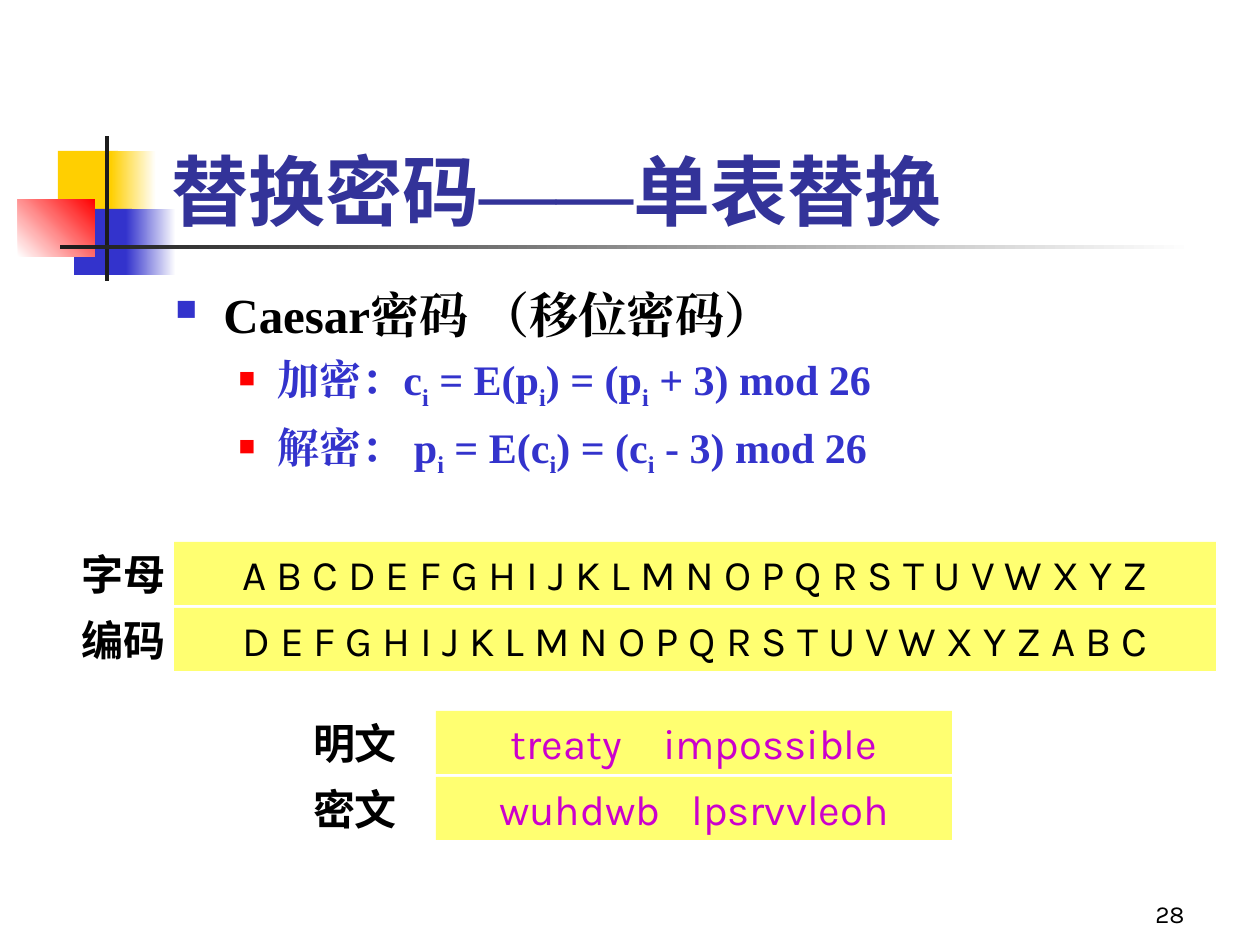
from lxml import etree
from pptx import Presentation
from pptx.dml.color import RGBColor
from pptx.enum.shapes import MSO_SHAPE
from pptx.enum.text import MSO_ANCHOR, PP_ALIGN
from pptx.oxml.ns import qn
from pptx.util import Pt

PX = 914400 / 126
RECTANGLE = MSO_SHAPE.RECTANGLE
TOP, BOTTOM = MSO_ANCHOR.TOP, MSO_ANCHOR.BOTTOM
LEFT, CENTER, RIGHT = PP_ALIGN.LEFT, PP_ALIGN.CENTER, PP_ALIGN.RIGHT
SANS, SERIF = "Karla", "Times New Roman"
COLORS = {
    "white": "FFFFFF", "black": "000000", "ink": "1C1C1C", "gold": "FFCF01",
    "blue": "3333CC", "navy": "333399", "red": "FF0000", "yellow": "FFFF71",
    "magenta": "CC00CC",
}
RGB = {name: RGBColor.from_string(value) for name, value in COLORS.items()}


def add_block(box, fill, fade_to=None, angle=0):
    block = slide.shapes.add_shape(RECTANGLE, *[round(v * PX) for v in box])
    block.shadow.inherit = False
    block.line.fill.background()
    if fade_to:
        block.fill.gradient()
        block.fill.gradient_angle = angle
        for stop, color in zip(block.fill.gradient_stops, (fill, fade_to)):
            stop.color.rgb = RGB[color]
    else:
        block.fill.solid()
        block.fill.fore_color.rgb = RGB[fill]
    return block


def write(shape, lines, size, color, bold=False, align=LEFT, anchor=TOP):
    frame = shape.text_frame
    frame.word_wrap = True
    frame.vertical_anchor = anchor
    for index, pieces in enumerate(lines):
        paragraph = frame.add_paragraph() if index else frame.paragraphs[0]
        paragraph.alignment = align
        for text, font in pieces:
            run = paragraph.add_run()
            run.text = text
            run.font.name = font
            run.font.size = Pt(size)
            run.font.bold = bold
            run.font.color.rgb = RGB[color]
            etree.SubElement(run.font._element, qn("a:ea"), typeface=font)
    return frame


prs = Presentation()
prs.slide_width, prs.slide_height = round(1260 * PX), round(945 * PX)
slide = prs.slides.add_slide(prs.slide_layouts[6])

for box, fill, fade_to, angle in [
    ((58, 151, 60, 66), "gold", None, 0),
    ((111, 151, 45, 66), "gold", "white", 0),
    ((74, 209, 58, 66), "blue", None, 0),
    ((126, 209, 50, 66), "blue", "white", 0),
    ((18, 199, 77, 58), "white", "red", 45),
    ((105, 136, 4, 145), "ink", None, 0),
    ((60, 245, 1134, 4), "ink", "white", 0),
]:
    add_block(box, fill, fade_to, angle)

page_number, title, body = [
    slide.shapes.add_textbox(*[round(v * PX) for v in box])
    for box in [(935, 872, 262, 63), (159, 84, 1074, 158), (163, 278, 914, 255)]
]
write(page_number, [[("28", SANS)]], 14, "black", align=RIGHT, anchor=BOTTOM)
write(title, [[("替换密码", SANS), ("——", SERIF), ("单表替换", SANS)]],
      44, "navy", bold=True, anchor=BOTTOM)

formulas = [
    ["Caesar密码 （移位密码）"],
    ["加密：c", "i", " = E(p", "i", ") = (p", "i", " + 3) mod 26"],
    ["解密： p", "i", " = E(c", "i", ") = (c", "i", " - 3) mod 26"],
]
body_frame = write(body, [[(text, SERIF) for text in line] for line in formulas],
                   24, "blue", bold=True)
for index, paragraph in enumerate(body_frame.paragraphs):
    margin, hanging, bullet_color, bullet_size = (
        (102, 39, "red", 55) if index else (48, 48, "blue", 60))
    props = paragraph._p.get_or_add_pPr()
    props.set("marL", str(round(margin * PX)))
    props.set("indent", str(-round(hanging * PX)))
    if index:
        paragraph.level = 1
        paragraph.space_before = Pt(6)
    else:
        paragraph.runs[0].font.size = Pt(28)
        paragraph.runs[0].font.color.rgb = RGB["black"]
    bullet = etree.SubElement(props, qn("a:buClr"))
    etree.SubElement(bullet, qn("a:srgbClr"), val=COLORS[bullet_color])
    etree.SubElement(props, qn("a:buSzPct"), val=str(bullet_size * 1000))
    etree.SubElement(props, qn("a:buChar"), char="■")
    for subscript in paragraph.runs[1::2]:
        subscript.font._element.set("baseline", "-25000")

ROW_HEIGHT, ROW_PITCH = 63, 66
for top, label_left, label_width, left, width, color, rows in [
    (542, 64, 120, 174, 1042, "black", [
        ("字母", ["A B C D E F G H I J K L M N O P Q R S T U V W X Y Z"], 0),
        ("编码", ["D E F G H I J K L M N O P Q R S T U V W X Y Z A B C"], 0)]),
    (711, 263, 184, 436, 516, "magenta", [
        ("明文", ["treaty", " ", "impossible"], 18),
        ("密文", ["wuhdwb", " ", "lpsrvvleoh"], 12)]),
]:
    for row, (label, words, gap) in enumerate(rows):
        y = top + row * ROW_PITCH
        band = add_block((left, y, width, ROW_HEIGHT), "yellow")
        band_frame = write(band, [[(word, SANS) for word in words]],
                           24, color, align=CENTER)
        for space in band_frame.paragraphs[0].runs[1:2]:
            space.font._element.set("spc", str(gap * 100))
        label_box = slide.shapes.add_textbox(
            *[round(v * PX) for v in (label_left, y, label_width, ROW_HEIGHT)])
        write(label_box, [[(label, SANS)]], 24, "black", bold=True, align=CENTER)

prs.save("out.pptx")
